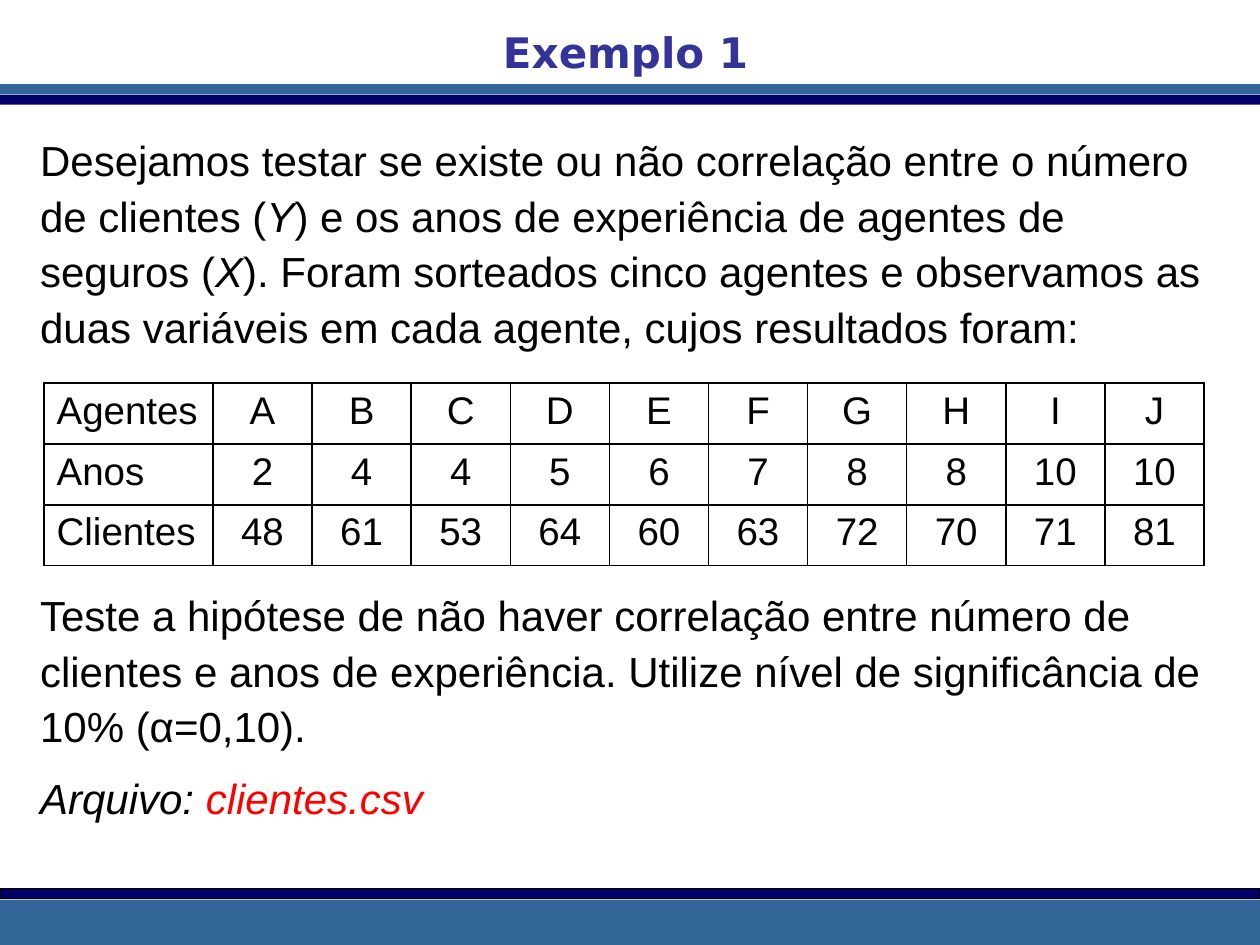
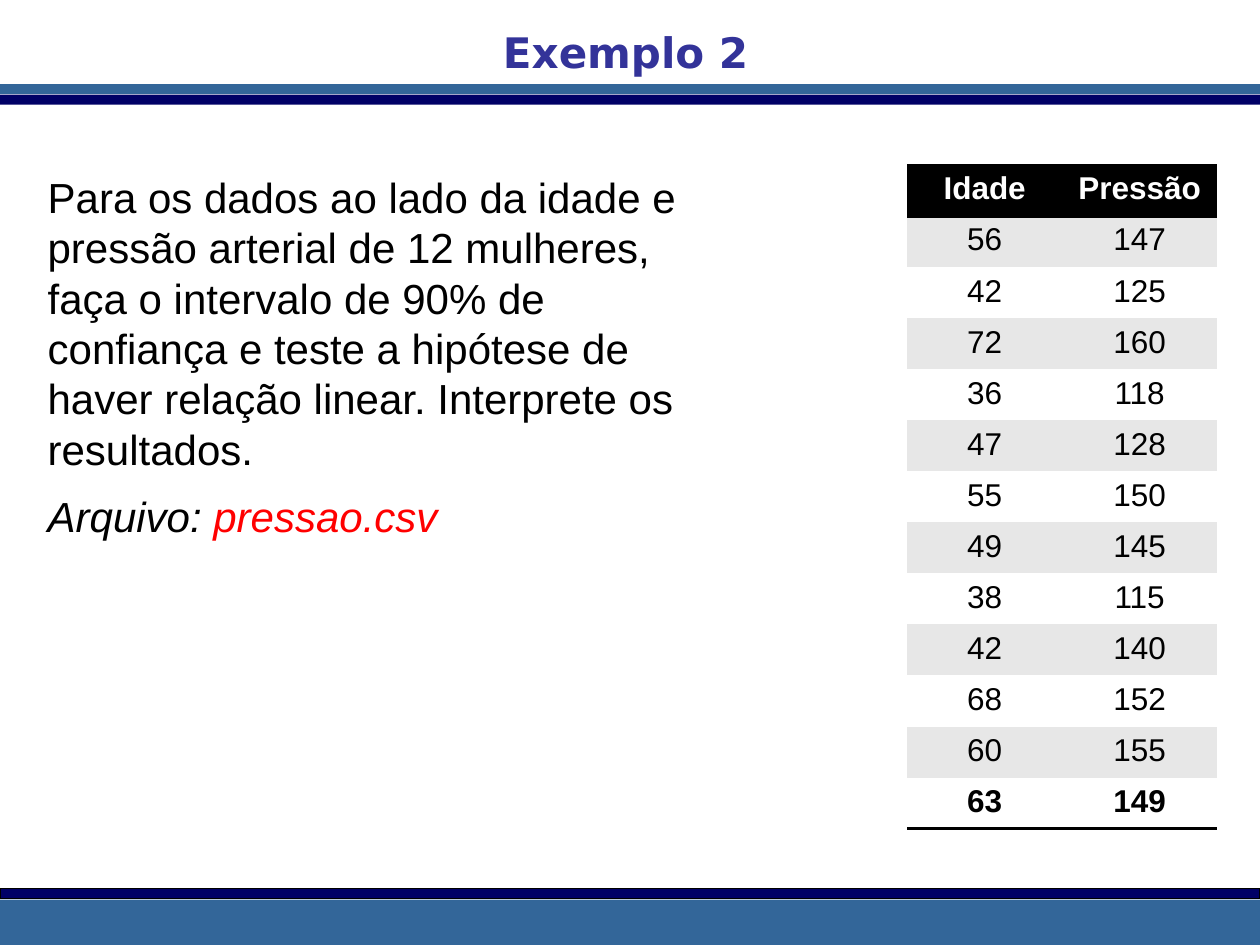
from collections import namedtuple

from lxml.etree import SubElement
from pptx import Presentation
from pptx.dml.color import RGBColor
from pptx.enum.shapes import MSO_SHAPE as Shape
from pptx.enum.text import MSO_AUTO_SIZE as AutoSize, PP_ALIGN as Align
from pptx.oxml.ns import qn
from pptx.util import Inches, Pt

BLACK = RGBColor(0x00, 0x00, 0x00)
WHITE = RGBColor(0xFF, 0xFF, 0xFF)
STEEL = RGBColor(0x33, 0x66, 0x99)
NAVY = RGBColor(0x00, 0x00, 0x66)
INDIGO = RGBColor(0x33, 0x33, 0x99)
RED = RGBColor(0xFF, 0x00, 0x00)
GREY = RGBColor(0xE7, 0xE7, 0xE7)

BODY_FONT, TITLE_FONT = "Arial", "DejaVu Sans"
BODY_SIZE = 24
PLAIN_TABLE_STYLE = "{2D5ABB26-0587-4C30-8999-92F81FD0307C}"

# The slide is a grid of 100 columns by 75 rows of equal square units
COLUMNS, ROWS = 100, 75
UNIT = Inches(10) // COLUMNS

Box = namedtuple("Box", "left top width height")

# Box, fill and outline of each band, from back to front
BANDS = [
    (Box(0, 6.7, COLUMNS, 0.8), STEEL, STEEL),
    (Box(0, 7.5, COLUMNS, 1.7), WHITE, WHITE),
    (Box(0, 7.5, COLUMNS, 0.8), NAVY, None),
    (Box(0, 71.4, COLUMNS, 3.6), STEEL, None),
    (Box(0, 70.5, COLUMNS, 0.8), NAVY, BLACK),
]
TITLE_BOX = Box(38.8, 1.6, 21.7, 5)

AGENTS = [
    ["Agentes", *"ABCDEFGHIJ"],
    ["Anos", 2, 4, 4, 5, 6, 7, 8, 8, 10, 10],
    ["Clientes", 48, 61, 53, 64, 60, 63, 72, 70, 71, 81],
]
PRESSURES = [
    ("Idade", "Pressão"),
    (56, 147), (42, 125), (72, 160), (36, 118), (47, 128), (55, 150),
    (49, 145), (38, 115), (42, 140), (68, 152), (60, 155), (63, 149),
]


def place(box):
    return [round(value * UNIT) for value in box]


def add_run(paragraph, text, size=BODY_SIZE, color=BLACK, font=BODY_FONT,
            bold=False, italic=False):
    run = paragraph.add_run()
    run.text = text
    run.font.name, run.font.size = font, Pt(size)
    run.font.color.rgb = color
    run.font.bold, run.font.italic = bold, italic


def add_bands(slide):
    for box, fill, outline in BANDS:
        band = slide.shapes.add_shape(Shape.RECTANGLE, *place(box))
        band.shadow.inherit = False
        band.fill.solid()
        band.fill.fore_color.rgb = fill
        if outline is None:
            band.line.fill.background()
        else:
            band.line.color.rgb = outline
            band.line.width = Pt(0.75)


def add_title(slide, box, text):
    frame = slide.shapes.add_textbox(*place(box)).text_frame
    frame.word_wrap = False
    frame.auto_size = AutoSize.SHAPE_TO_FIT_TEXT
    paragraph = frame.paragraphs[0]
    paragraph.alignment = Align.CENTER
    add_run(paragraph, text, color=INDIGO, font=TITLE_FONT, bold=True)


def add_body(slide, box, paragraphs, line_height):
    """Each paragraph is a list of (text, run style) pairs."""
    frame = slide.shapes.add_textbox(*place(box)).text_frame
    frame.word_wrap = True
    for index, runs in enumerate(paragraphs):
        paragraph = frame.add_paragraph() if index else frame.paragraphs[0]
        paragraph.line_spacing = Pt(line_height)
        paragraph.space_after = Pt(0.4 * BODY_SIZE)
        for text, style in runs:
            add_run(paragraph, text, **style)


def file_note(name):
    return [("Arquivo: ", {"italic": True}),
            (name, {"italic": True, "color": RED})]


def add_plain_table(slide, box, rows, first_width=None):
    """Add an unstyled table; columns after the first share the rest."""
    count = len(rows[0])
    table = slide.shapes.add_table(len(rows), count, *place(box)).table
    table.first_row = table.horz_banding = False
    table._tbl.tblPr.find(qn("a:tableStyleId")).text = PLAIN_TABLE_STYLE
    first_width = first_width or box.width / count
    other_width = (box.width - first_width) / (count - 1)
    for index, column in enumerate(table.columns):
        column.width = round((other_width if index else first_width) * UNIT)
    for row in table.rows:
        row.height = round(box.height / len(rows) * UNIT)
    return table


def write_cell(cell, value, align, **style):
    paragraph = cell.text_frame.paragraphs[0]
    paragraph.alignment = align
    add_run(paragraph, str(value), **style)


def add_borders(cell, sides, width):
    """Draw black borders on sides, a string in the order LRTB."""
    properties = cell._tc.get_or_add_tcPr()
    for index, side in enumerate(sides):
        line = SubElement(properties, qn(f"a:ln{side}"), w=str(Pt(width)))
        fill = SubElement(line, qn("a:solidFill"))
        SubElement(fill, qn("a:srgbClr"), val=str(BLACK))
        properties.insert(index, line)


def add_agents_table(slide, box):
    table = add_plain_table(slide, box, AGENTS, first_width=13.4)
    for row, values in enumerate(AGENTS):
        for column, value in enumerate(values):
            cell = table.cell(row, column)
            align = Align.CENTER if column else Align.LEFT
            write_cell(cell, value, align, size=22)
            add_borders(cell, "LRTB", 1)


def add_pressure_table(slide, box):
    table = add_plain_table(slide, box, PRESSURES)
    last = len(PRESSURES) - 1
    for row, values in enumerate(PRESSURES):
        header = row == 0
        fill = BLACK if header else GREY if row % 2 else WHITE
        for column, value in enumerate(values):
            cell = table.cell(row, column)
            write_cell(cell, value, Align.CENTER, size=18,
                       color=WHITE if header else BLACK,
                       bold=row in (0, last))
            cell.fill.solid()
            cell.fill.fore_color.rgb = fill
            if header:
                add_borders(cell, "TB", 2)
            elif row == last:
                add_borders(cell, "B", 2)


def add_example(presentation, title):
    slide = presentation.slides.add_slide(presentation.slide_layouts[6])
    add_bands(slide)
    add_title(slide, TITLE_BOX, title)
    return slide


def add_correlation_example(presentation):
    slide = add_example(presentation, "Exemplo 1")
    variable = {"italic": True}
    # Statement above the table
    add_body(slide, Box(2.2, 9.8, 94.7, 19.6), [[
        ("Desejamos testar se existe ou não correlação entre o número de "
         "clientes (", {}),
        ("Y", variable),
        (") e os anos de experiência de agentes de seguros (", {}),
        ("X", variable),
        ("). Foram sorteados cinco agentes e observamos as duas variáveis "
         "em cada agente, cujos resultados foram:", {}),
    ]], line_height=31.7)
    add_agents_table(slide, Box(3.5, 30.4, 92.1, 14.5))
    # Task below the table
    add_body(slide, Box(2.2, 45.9, 94.7, 21), [
        [("Teste a hipótese de não haver correlação entre número de clientes "
          "e anos de experiência. Utilize nível de significância de 10% "
          "(α=0,10).", {})],
        file_note("clientes.csv"),
    ], line_height=31.7)


def add_regression_example(presentation):
    slide = add_example(presentation, "Exemplo 2")
    add_body(slide, Box(2.8, 13.1, 52.2, 31.5), [
        [("Para os dados ao lado da idade e pressão arterial de 12 mulheres, "
          "faça o intervalo de 90% de confiança e teste a hipótese de haver "
          "relação linear. Interprete os resultados.", {})],
        file_note("pressao.csv"),
    ], line_height=28.8)
    add_pressure_table(slide, Box(72, 13.1, 24.6, 52.7))


def main():
    presentation = Presentation()
    presentation.slide_width = COLUMNS * UNIT
    presentation.slide_height = ROWS * UNIT
    add_correlation_example(presentation)
    add_regression_example(presentation)
    presentation.save("out.pptx")


if __name__ == "__main__":
    main()
